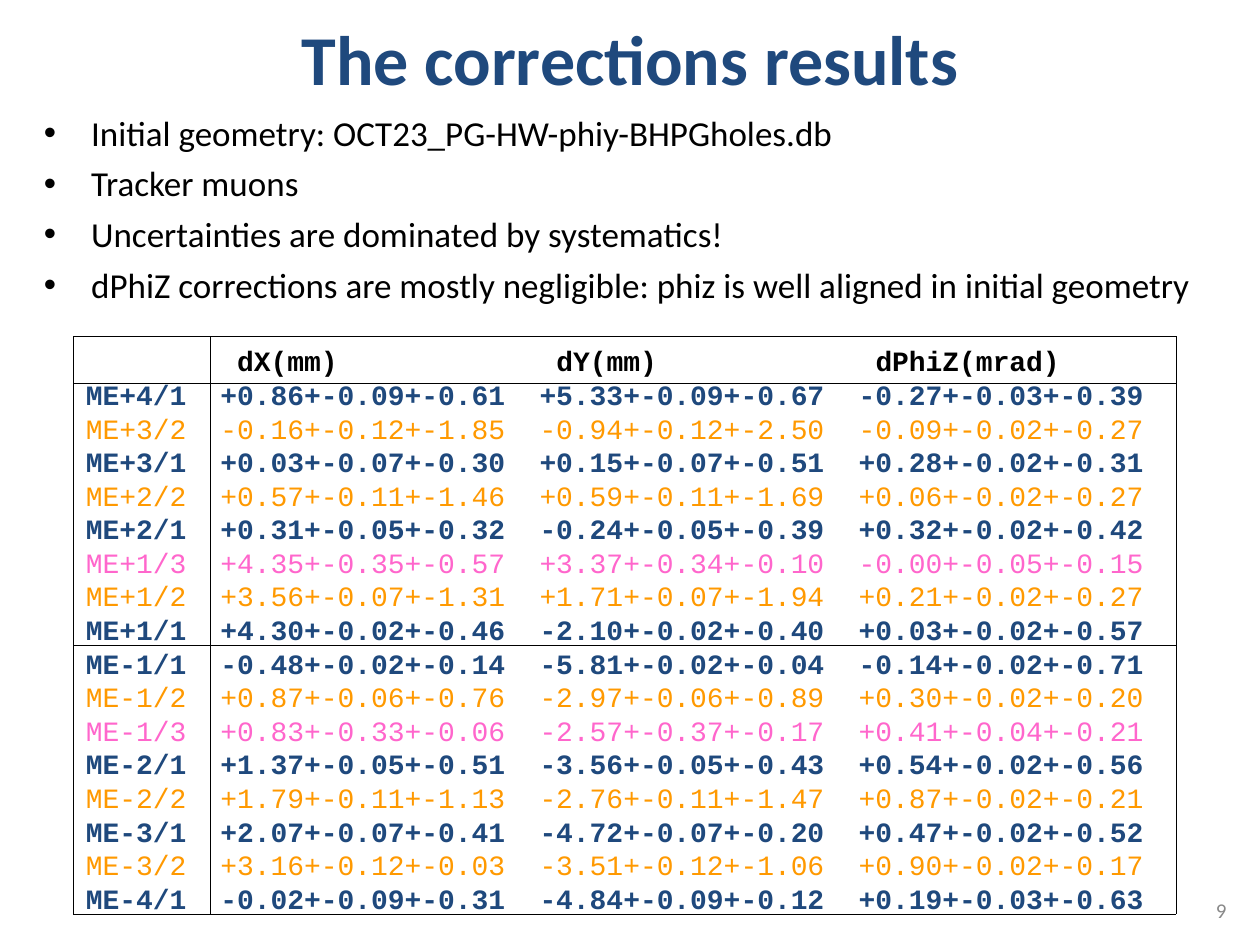
from lxml import etree
from pptx import Presentation
from pptx.dml.color import RGBColor
from pptx.enum import text
from pptx.oxml import ns
from pptx.util import Pt

TITLE = "The corrections results"
BULLETS = [
    "Initial geometry: OCT23_PG-HW-phiy-BHPGholes.db",
    "Tracker muons",
    "Uncertainties are dominated by systematics!",
    "dPhiZ corrections are mostly negligible: phiz is well aligned in initial geometry",
]
PAGE_NUMBER = "9"
HEADINGS = ("", "dX(mm)", "dY(mm)", "dPhiZ(mrad)")
CORRECTIONS = [
    ("ME+4/1", "+0.86+-0.09+-0.61", "+5.33+-0.09+-0.67", "-0.27+-0.03+-0.39"),
    ("ME+3/2", "-0.16+-0.12+-1.85", "-0.94+-0.12+-2.50", "-0.09+-0.02+-0.27"),
    ("ME+3/1", "+0.03+-0.07+-0.30", "+0.15+-0.07+-0.51", "+0.28+-0.02+-0.31"),
    ("ME+2/2", "+0.57+-0.11+-1.46", "+0.59+-0.11+-1.69", "+0.06+-0.02+-0.27"),
    ("ME+2/1", "+0.31+-0.05+-0.32", "-0.24+-0.05+-0.39", "+0.32+-0.02+-0.42"),
    ("ME+1/3", "+4.35+-0.35+-0.57", "+3.37+-0.34+-0.10", "-0.00+-0.05+-0.15"),
    ("ME+1/2", "+3.56+-0.07+-1.31", "+1.71+-0.07+-1.94", "+0.21+-0.02+-0.27"),
    ("ME+1/1", "+4.30+-0.02+-0.46", "-2.10+-0.02+-0.40", "+0.03+-0.02+-0.57"),
    ("ME-1/1", "-0.48+-0.02+-0.14", "-5.81+-0.02+-0.04", "-0.14+-0.02+-0.71"),
    ("ME-1/2", "+0.87+-0.06+-0.76", "-2.97+-0.06+-0.89", "+0.30+-0.02+-0.20"),
    ("ME-1/3", "+0.83+-0.33+-0.06", "-2.57+-0.37+-0.17", "+0.41+-0.04+-0.21"),
    ("ME-2/1", "+1.37+-0.05+-0.51", "-3.56+-0.05+-0.43", "+0.54+-0.02+-0.56"),
    ("ME-2/2", "+1.79+-0.11+-1.13", "-2.76+-0.11+-1.47", "+0.87+-0.02+-0.21"),
    ("ME-3/1", "+2.07+-0.07+-0.41", "-4.72+-0.07+-0.20", "+0.47+-0.02+-0.52"),
    ("ME-3/2", "+3.16+-0.12+-0.03", "-3.51+-0.12+-1.06", "+0.90+-0.02+-0.17"),
    ("ME-4/1", "-0.02+-0.09+-0.31", "-4.84+-0.09+-0.12", "+0.19+-0.03+-0.63"),
]

THEME = {
    "font": "Calibri", "mono": "Courier New",
    "title": 40, "body": 20, "data": 16, "number": 12,
    "navy": "1F497D", "black": "000000", "grey": "898989",
    # The last digit of a station name is its ring
    "rings": {"1": "1F497D", "2": "FF9900", "3": "FF66CC"},
}
COLUMN_WIDTHS = (78, 552)
ROW_HEIGHTS = (26.8, 149.4, 153.8)
CHARACTER = 0.6 * THEME["data"]     # advance of the monospaced font
COLUMN_STARTS = (8, 27, 46)         # in characters


def style(paragraph, size, color, font=THEME["font"], bold=False):
    for run in paragraph.runs:
        run.font.name = font
        run.font.size = Pt(size)
        run.font.bold = bold
        run.font.color.rgb = RGBColor.from_string(color)


def add_text(slide, left, top, width, height, lines):
    frame = slide.shapes.add_textbox(Pt(left), Pt(top), Pt(width), Pt(height)).text_frame
    frame.word_wrap = True
    frame.text = "\n".join(lines)
    return frame


def set_bullet(paragraph, indent):
    properties = paragraph._p.get_or_add_pPr()
    properties.set("marL", str(Pt(indent)))
    properties.set("indent", str(Pt(-indent)))
    etree.SubElement(properties, ns.qn("a:buFont"), typeface="Arial")
    etree.SubElement(properties, ns.qn("a:buChar"), char="•")


def set_tabs(paragraph, stops):
    tabs = etree.SubElement(paragraph._p.get_or_add_pPr(), ns.qn("a:tabLst"))
    for stop in stops:
        etree.SubElement(tabs, ns.qn("a:tab"), pos=str(Pt(stop)), algn="l")


def set_borders(cell, width, color):
    properties = cell._tc.get_or_add_tcPr()
    for side in ("lnL", "lnR", "lnT", "lnB"):
        line = etree.SubElement(properties, ns.qn("a:" + side), w=str(Pt(width)))
        fill = etree.SubElement(line, ns.qn("a:solidFill"))
        etree.SubElement(fill, ns.qn("a:srgbClr"), val=color)


presentation = Presentation()
presentation.slide_width, presentation.slide_height = Pt(720), Pt(540)
slide = presentation.slides.add_slide(presentation.slide_layouts[5])

# Title
title = slide.shapes.title
title.left, title.top, title.width, title.height = Pt(18), Pt(6), Pt(684), Pt(54)
title.text_frame.text = TITLE
title.text_frame.vertical_anchor = text.MSO_ANCHOR.MIDDLE
title.text_frame.paragraphs[0].alignment = text.PP_ALIGN.CENTER
style(title.text_frame.paragraphs[0], THEME["title"], THEME["navy"], bold=True)

# Bullets
for paragraph in add_text(slide, 18, 60, 678, 126, BULLETS).paragraphs:
    paragraph.space_before = Pt(5)
    set_bullet(paragraph, 27)
    style(paragraph, THEME["body"], THEME["black"])

# Page number
number = add_text(slide, 540, 505.5, 168, 28.8, [PAGE_NUMBER])
number.vertical_anchor = text.MSO_ANCHOR.MIDDLE
number.paragraphs[0].alignment = text.PP_ALIGN.RIGHT
style(number.paragraphs[0], THEME["number"], THEME["grey"])

# Ruled grid: heading, plus side, minus side
table = slide.shapes.add_table(
    len(ROW_HEIGHTS), len(COLUMN_WIDTHS), Pt(42), Pt(192.4),
    Pt(sum(COLUMN_WIDTHS)), Pt(sum(ROW_HEIGHTS))).table
for column, width in zip(table.columns, COLUMN_WIDTHS):
    column.width = Pt(width)
for row, height in zip(table.rows, ROW_HEIGHTS):
    row.height = Pt(height)
for cell in table.iter_cells():
    cell.margin_top = cell.margin_bottom = 0
    set_borders(cell, 0.45, THEME["black"])
    cell.fill.background()

# Corrections, aligned by tab stops; headings sit one character further in
rows = [HEADINGS] + CORRECTIONS
data = add_text(slide, 42, 193, 624, 333, ["\t".join(row) for row in rows])
for row, paragraph in zip(rows, data.paragraphs):
    heading = row is HEADINGS
    set_tabs(paragraph, [(start + heading) * CHARACTER for start in COLUMN_STARTS])
    color = THEME["black"] if heading else THEME["rings"][row[0][-1]]
    bold = heading or row[0].endswith("1")
    style(paragraph, THEME["data"], color, THEME["mono"], bold)

presentation.save("out.pptx")
